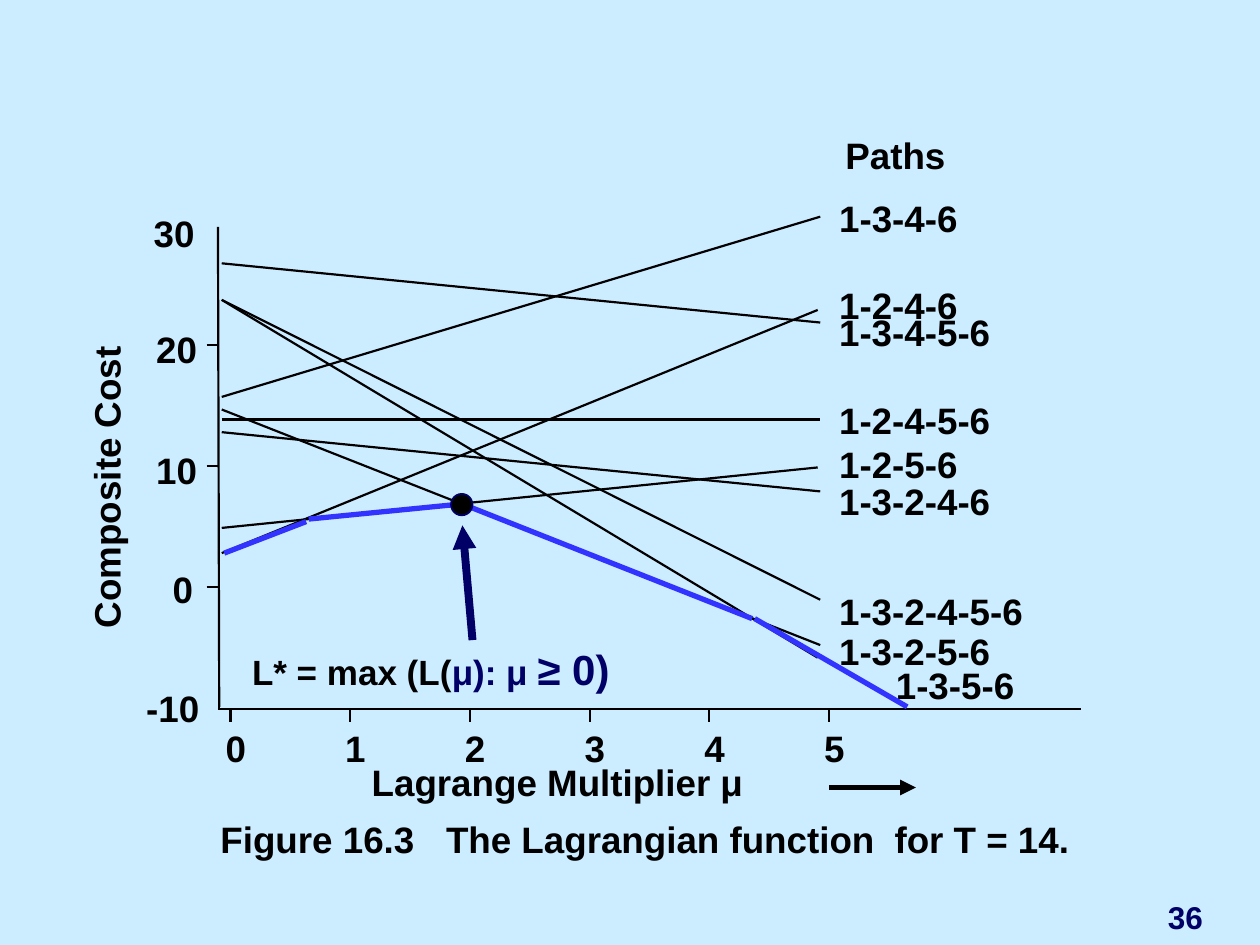
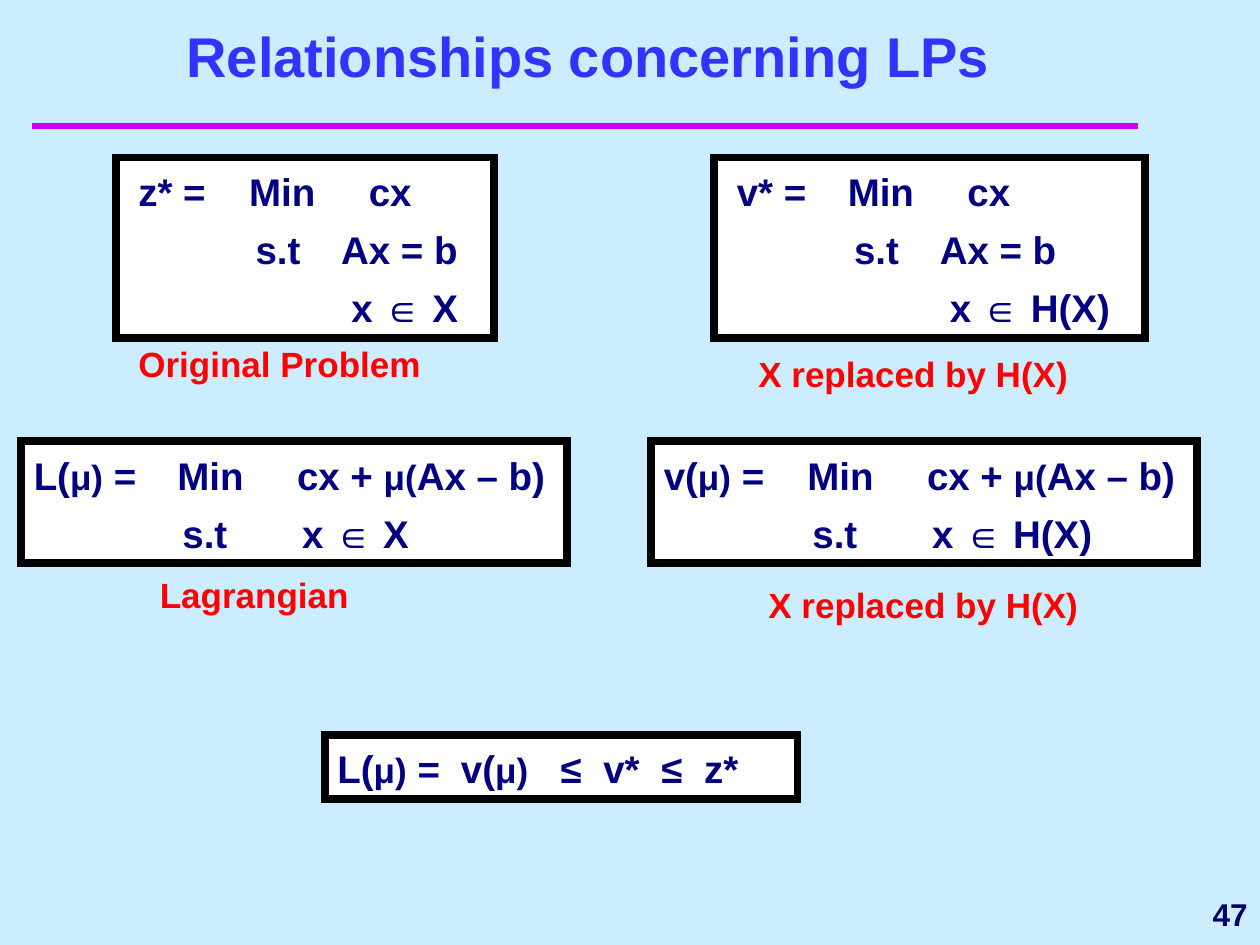
import pptx
import pptx.dml.color
import pptx.enum.shapes
import pptx.enum.text
import pptx.oxml.ns
import pptx.util
from lxml import etree

RGBColor = pptx.dml.color.RGBColor
ALIGN = pptx.enum.text.PP_ALIGN
ANCHOR = pptx.enum.text.MSO_ANCHOR
SHAPE = pptx.enum.shapes.MSO_SHAPE

SKY = RGBColor(0xCC, 0xEC, 0xFF)
BLACK = RGBColor(0, 0, 0)
WHITE = RGBColor(0xFF, 0xFF, 0xFF)
NAVY = RGBColor(0, 0, 0x66)
FORMULA_BLUE = RGBColor(0, 0, 0x80)
BLUE = RGBColor(0x33, 0x33, 0xFF)
RED = RGBColor(0xFF, 0, 0)
MAGENTA = RGBColor(0xCC, 0, 0xFF)

FONT = "Arial"
COLUMNS, ROWS = 10, 7.5
CELL = pptx.util.Inches(1)
PADDING = (0.1, 0.05)
MU_SIZE = 20

AXIS_LEFT, AXIS_BOTTOM = 1.74, 5.63
TICK_LEFT, TICK_STEP = 1.83, 0.95
LINE_LEFT = 1.76

AXIS_LINES = [
    (7.22, AXIS_BOTTOM, AXIS_LEFT, AXIS_BOTTOM),
    (AXIS_LEFT, AXIS_BOTTOM, AXIS_LEFT, 4.4),
    (1.73, 1.8, AXIS_LEFT, 5.61),
    (TICK_LEFT, AXIS_BOTTOM, 8.58, AXIS_BOTTOM),
    (1.73, AXIS_BOTTOM, TICK_LEFT, AXIS_BOTTOM),
]
COST_LABELS = [
    ("30", 1.22, 1.67),
    ("20", 1.24, 2.59),
    ("10", 1.24, 3.55),
    ("0", 1.37, 4.5),
    ("-10", 1.16, 5.44),
]
PATHS = [
    ("1-3-4-6", 6.66, 1.55, 3.15, 6.51, 1.72),
    ("1-2-4-6", 6.66, 2.24, 4.39, 6.49, 2.46),
    ("1-3-4-5-6", 6.66, 2.46, 2.09, 6.51, 2.56),
    ("1-2-4-5-6", 6.66, 3.16, 3.33, 6.51, 3.33),
    ("1-2-5-6", 6.66, 3.51, 4.19, 6.49, 3.71),
    ("1-3-2-4-6", 6.66, 3.8, 3.43, 6.51, 3.9),
    ("1-3-2-4-5-6", 6.66, 4.67, 2.38, 6.51, 4.76),
    ("1-3-2-5-6", 6.66, 4.99, 3.25, 6.51, 5.12),
    ("1-3-5-6", 7.11, 5.26, 2.38, 6.49, 5.22),
]
ENVELOPE = [
    (1.78, 4.39, 2.43, 4.14),
    (2.45, 4.12, 3.66, 4),
    (3.67, 4, 5.97, 4.91),
    (5.99, 4.91, 7.2, 5.61),
]


def grid(*cells):
    return [round(cell * CELL) for cell in cells]


def set_tabs(paragraph, stops):
    properties = paragraph._p.get_or_add_pPr()
    tab_list = etree.SubElement(properties, pptx.oxml.ns.qn("a:tabLst"))
    for stop in stops:
        tab = etree.SubElement(tab_list, pptx.oxml.ns.qn("a:tab"))
        tab.set("pos", str(grid(stop)[0]))
        tab.set("algn", "l")


def write_text(shape, paragraphs, size=21, color=BLACK, align=ALIGN.LEFT, anchor=ANCHOR.TOP,
               padding=(0, 0), wrap=True, tabs=(), line_spacing=None, space_before=0):
    frame = shape.text_frame
    frame.word_wrap = wrap
    frame.vertical_anchor = anchor
    frame.margin_left = frame.margin_right = grid(padding[0])[0]
    frame.margin_top = frame.margin_bottom = grid(padding[1])[0]
    if isinstance(paragraphs, str):
        paragraphs = [[paragraphs]]
    for index, runs in enumerate(paragraphs):
        paragraph = frame.add_paragraph() if index else frame.paragraphs[0]
        if index < len(tabs):
            set_tabs(paragraph, tabs[index])
        paragraph.alignment = align
        if line_spacing:
            paragraph.line_spacing = line_spacing
        if index:
            paragraph.space_before = pptx.util.Pt(space_before)
        for item in runs:
            text, run_size, run_color = item if isinstance(item, tuple) else (item, size, color)
            run = paragraph.add_run()
            run.text = text
            run.font.name = FONT
            run.font.bold = True
            run.font.size = pptx.util.Pt(run_size)
            run.font.color.rgb = run_color


def add_text(slide, place, paragraphs, **style):
    shape = slide.shapes.add_textbox(*grid(*place))
    write_text(shape, paragraphs, **style)
    return shape


def add_label(slide, left, top, text):
    add_text(slide, (left, top, 0.17 * len(text), 0.35), text, wrap=False)


def add_line(slide, ends, color=BLACK, width=1.25, arrow=False):
    connector = slide.shapes.add_connector(pptx.enum.shapes.MSO_CONNECTOR.STRAIGHT, *grid(*ends))
    connector.line.color.rgb = color
    connector.line.width = pptx.util.Pt(width)
    if arrow:
        line = connector.line._get_or_add_ln()
        etree.SubElement(line, pptx.oxml.ns.qn("a:tailEnd")).set("type", "triangle")
    etree.SubElement(connector._element.spPr, pptx.oxml.ns.qn("a:effectLst"))


def add_filled(slide, kind, place, fill, outline, width):
    shape = slide.shapes.add_shape(kind, *grid(*place))
    shape.shadow.inherit = False
    shape.fill.solid()
    shape.fill.fore_color.rgb = fill
    shape.line.color.rgb = outline
    shape.line.width = pptx.util.Pt(width)
    line = shape.line._get_or_add_ln()
    etree.SubElement(line, pptx.oxml.ns.qn("a:miter")).set("lim", "800000")
    return shape


def add_formula_box(slide, place, paragraphs, tabs):
    shape = add_filled(slide, SHAPE.RECTANGLE, place, WHITE, BLACK, 4.5)
    write_text(shape, paragraphs, size=22, color=FORMULA_BLUE, padding=PADDING,
               tabs=tabs, line_spacing=1.1, space_before=4.1)


def add_caption(slide, left, top, text, width=2.83):
    add_text(slide, (left, top, width, 0.44), text, size=20, color=RED, padding=PADDING)


def add_page_number(slide, place, number, **style):
    add_text(slide, place, number, size=18, color=NAVY, padding=PADDING, **style)


def add_axes(slide):
    for ends in AXIS_LINES:
        add_line(slide, ends)
    for index in range(6):
        tick = TICK_LEFT + TICK_STEP * index
        add_line(slide, (tick, AXIS_BOTTOM + 0.1, tick, AXIS_BOTTOM))
        add_label(slide, tick - 0.04, 5.76, str(index))
    for index in range(3):
        tick = 2.74 + 0.96 * index
        add_line(slide, (AXIS_LEFT - 0.1, tick, AXIS_LEFT, tick))
    for cost, left, top in COST_LABELS:
        add_label(slide, left, top, cost)
    cost_title = add_text(slide, (-0.32, 3.65, 2.32, 0.35), "Composite Cost", wrap=False)
    cost_title.rotation = 270
    add_text(slide, (2.95, 6.03, 3.2, 0.35), "Lagrange Multiplier μ")
    add_line(slide, (6.58, 6.25, 7.27, 6.25), width=3, arrow=True)


def build_lagrangian_figure(slide):
    add_axes(slide)
    add_label(slide, 6.71, 1.05, "Paths")
    for name, label_left, label_top, start, end, finish in PATHS:
        add_line(slide, (LINE_LEFT, start, end, finish))
        add_label(slide, label_left, label_top, name)
    for ends in ENVELOPE:
        add_line(slide, ends, color=BLUE, width=3)
    add_text(slide, (2, 5.11, 4.58, 0.4),
             [["L* = max (L(", ("μ): μ ", 20, NAVY), ("≥ 0)", 24, NAVY)]], size=20)
    add_line(slide, (3.75, 5.08, 3.67, 4.17), color=NAVY, width=4.5, arrow=True)
    add_filled(slide, SHAPE.OVAL, (3.58, 3.92, 0.17, 0.17), BLACK, NAVY, 1)
    add_text(slide, (1.75, 6.48, 6.8, 0.35),
             "Figure 16.3\tThe Lagrangian function\tfor T = 14.", tabs=[(1.79, 5.35)])
    add_page_number(slide, (9.17, 7.08, 0.75, 0.4), "36")


def build_relationships(slide):
    add_line(slide, (0.25, 1, 9.03, 1), color=MAGENTA, width=4)
    add_text(slide, (0.42, 0.33, 8.5, 0.42), "Relationships concerning LPs", size=32, color=BLUE,
             align=ALIGN.CENTER, anchor=ANCHOR.BOTTOM, padding=PADDING)

    mu_close, mu_open = [(text, MU_SIZE, FORMULA_BLUE) for text in ("μ)", "μ(")]
    problem_tabs = [(0.08, 0.96, 1.91), (1.01, 1.69), (1.77,)]
    relaxed_tabs = [(1.14, 2.09), (1.18, 2.13)]
    for value, relaxed, domain, problem_left, width, relaxed_left in (
            ("z*", "L(", "X", 0.92, 3, 0.17),
            ("v*", "v(", "H(X)", 5.67, 3.42, 5.17)):
        membership = f"\tx ∈ {domain}"
        add_formula_box(slide, (problem_left, 1.25, width, 1.43),
                        [[f"\t{value} =\tMin\tcx"], ["\ts.t\tAx = b"], [membership]],
                        problem_tabs)
        add_formula_box(slide, (relaxed_left, 3.5, 4.33, 0.97),
                        [[relaxed, mu_close, " =\tMin\tcx + ", mu_open, "Ax – b)"],
                         ["\ts.t" + membership]],
                        relaxed_tabs)

    add_caption(slide, 1, 2.67, "Original Problem")
    add_caption(slide, 5.92, 2.75, "X replaced by H(X)")
    add_caption(slide, 1.17, 4.5, "Lagrangian", width=2.08)
    add_caption(slide, 6, 4.58, "X replaced by H(X)")
    add_formula_box(slide, (2.58, 5.83, 3.75, 0.51),
                    [["L(", mu_close, " =\tv(", mu_close, "\t≤\tv*\t≤\tz*"]],
                    [(0.98, 1.77, 2.11, 2.57, 2.91)])
    add_page_number(slide, (8.42, 7, 1.58, 0.5), "47", align=ALIGN.RIGHT, anchor=ANCHOR.MIDDLE)


def main():
    presentation = pptx.Presentation()
    presentation.slide_width, presentation.slide_height = grid(COLUMNS, ROWS)
    background = presentation.slide_master.background.fill
    background.solid()
    background.fore_color.rgb = SKY
    blank = presentation.slide_layouts[6]
    for build in (build_lagrangian_figure, build_relationships):
        build(presentation.slides.add_slide(blank))
    presentation.save("out.pptx")


if __name__ == "__main__":
    main()
